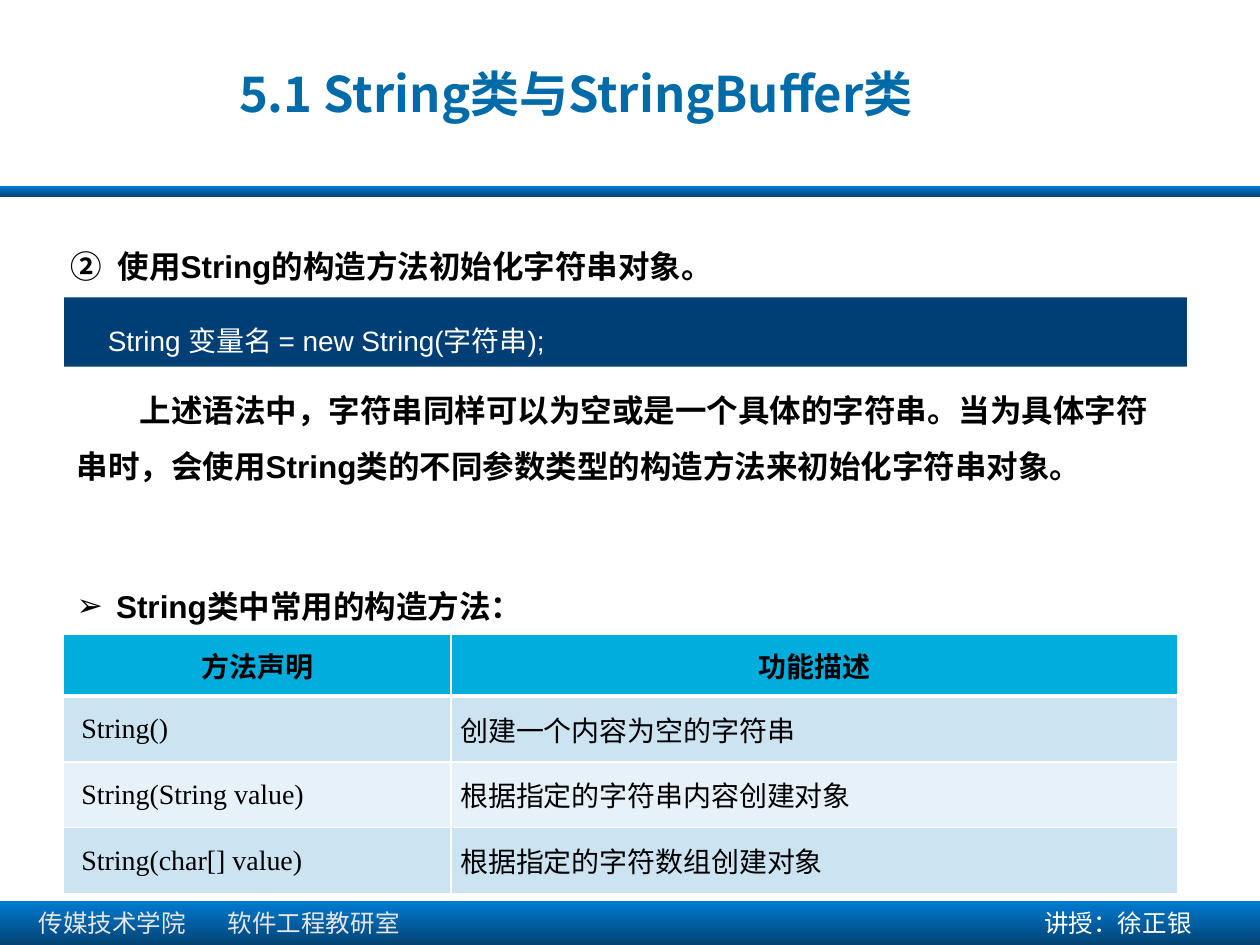
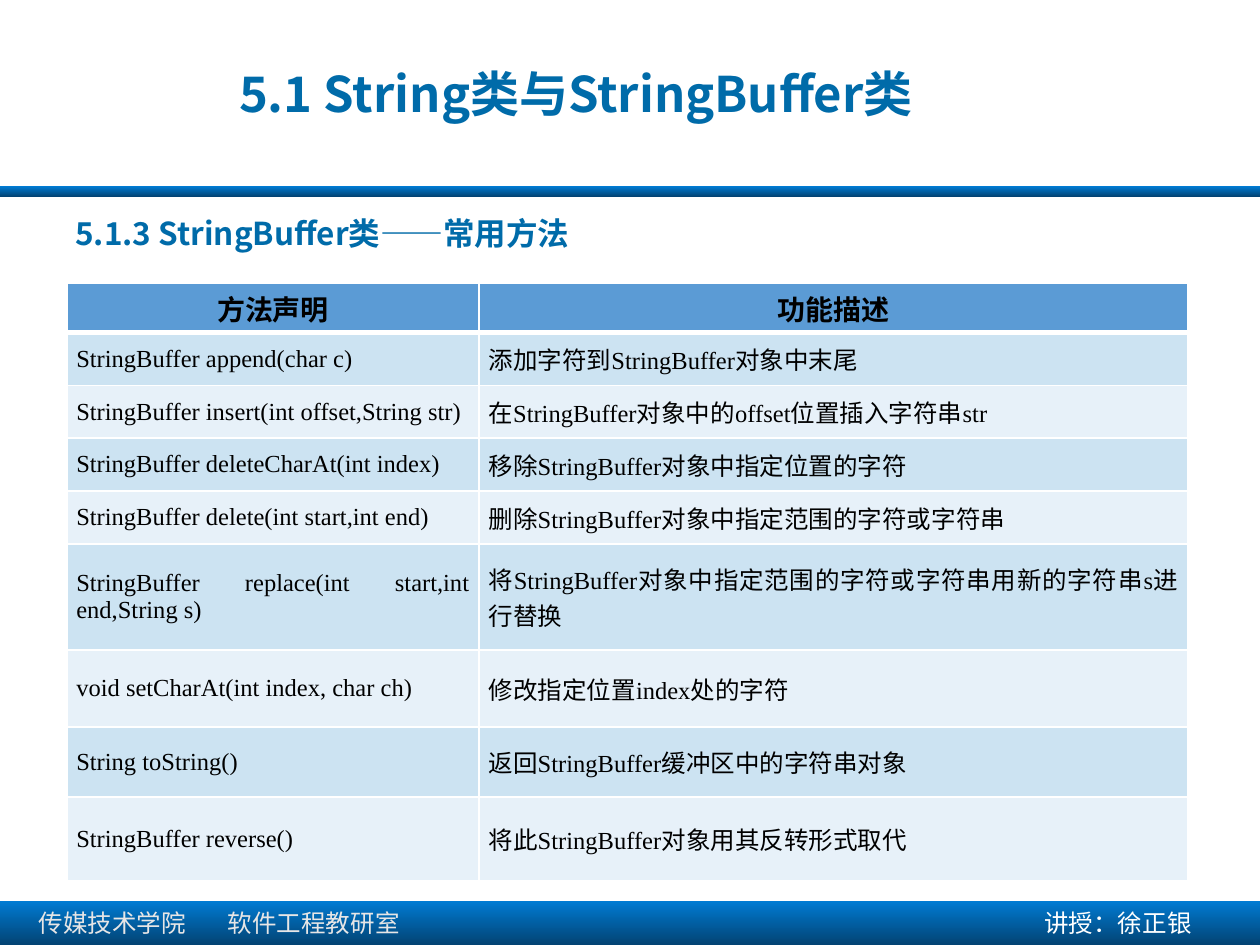
from lxml.etree import SubElement as Sub
from pptx import Presentation
from pptx.dml.color import RGBColor as Rgb
from pptx.enum.shapes import MSO_SHAPE as Kind
from pptx.enum.text import MSO_ANCHOR as Anchor, PP_ALIGN as Align
from pptx.oxml.ns import qn
from pptx.util import Pt

BLUE, NAVY, BLACK, WHITE = "006BA9", "003F75", "000000", "FFFFFF"
HAN = "Noto Sans CJK SC"


def hue(code):
    return Rgb.from_string(code)


def put(frame, text, size, face, tone, bold=False, space=None, left=0, first=0, mark=()):
    para = frame.paragraphs[0]
    para.text = text
    props = para._p.get_or_add_pPr()
    props.set("marL", str(Pt(left)))
    props.set("indent", str(Pt(first)))
    for tag, attrs in mark:
        Sub(props, qn(tag), attrs)
    if space:
        para.line_spacing = space
    for run in para.runs:
        font = run.font
        font.size, font.name, font.bold = Pt(size), face, bold
        font.color.rgb = hue(tone)
        Sub(run._r.get_or_add_rPr(), qn("a:ea"), typeface=HAN)
    return para


deck = Presentation()
deck.slide_width, deck.slide_height = Pt(720), Pt(540)

bands = [(106.5, 6), (514.8, 25.2)]
shared = [
    ((15.1, 515.5, 272, 24.5), "传媒技术学院\t软件工程教研室", 14, "Arial", "E7E6E6"),
    ((589.7, 515.5, 128, 24.5), "讲授：徐正银", 14, "Arial", WHITE),
    ((129.6, 31, 419.8, 44), "5.1 String类与StringBuffer类", 28, HAN, BLUE, True, None, 44.64, -44.64),
]
number = [("a:buFont", {"typeface": "Arial"}),
          ("a:buAutoNum", {"type": "circleNumDbPlain", "startAt": "2"})]
arrow = [("a:buFont", {"typeface": "Arial"}), ("a:buChar", {"char": "➢"})]
code = (36.7, 169.9, 641.5, 39.6)

pages = [
    {
        "texts": [
            ((33.1, 115.9, 643.7, 51), "使用String的构造方法初始化字符串对象。",
             18, "Arial", BLACK, True, 2, 27, -27, number),
            (code, "String 变量名 = new String(字符串);", 16, "Arial", WHITE, False, 1.5, 17.8),
            ((36.7, 208.8, 641.5, 72.7),
             "上述语法中，字符串同样可以为空或是一个具体的字符串。当为具体字符串时，会使用String类的不同参数类型的构造方法来初始化字符串对象。",
             18, "Arial", BLACK, True, 1.5, 0, 36),
            ((36.7, 310.3, 641.5, 51), "String类中常用的构造方法：",
             18, "Arial", BLACK, True, 2, 22.5, -22.5, arrow),
        ],
        "place": (36.3, 362.2), "cols": [221.5, 415.2], "rows": [35.6] + [37.6] * 3,
        "head": "00ADDC", "size": 16, "shift": 5, "inset": 5.2,
        "cells": [
            ("String()", "创建一个内容为空的字符串"),
            ("String(String value)", "根据指定的字符串内容创建对象"),
            ("String(char[] value)", "根据指定的字符数组创建对象"),
        ],
    },
    {
        "texts": [
            ((36, 118.8, 648, 51), "5.1.3 StringBuffer类——常用方法", 18, HAN, BLUE, True),
        ],
        "place": (38.2, 162), "cols": [235.6, 405],
        "rows": [28] + [30.2] * 4 + [60.6, 44, 40.2, 48],
        "head": "5B9BD5", "size": 14, "shift": 0, "inset": 5.4,
        "cells": [
            ("StringBuffer append(char c)", "添加字符到StringBuffer对象中末尾"),
            ("StringBuffer insert(int offset,String str)", "在StringBuffer对象中的offset位置插入字符串str"),
            ("StringBuffer deleteCharAt(int index)", "移除StringBuffer对象中指定位置的字符"),
            ("StringBuffer delete(int start,int end)", "删除StringBuffer对象中指定范围的字符或字符串"),
            ("StringBuffer replace(int start,int end,String s)",
             "将StringBuffer对象中指定范围的字符或字符串用新的字符串s进行替换"),
            ("void setCharAt(int index, char ch)", "修改指定位置index处的字符"),
            ("String toString()", "返回StringBuffer缓冲区中的字符串对象"),
            ("StringBuffer reverse()", "将此StringBuffer对象用其反转形式取代"),
        ],
    },
]

for page in pages:
    slide = deck.slides.add_slide(deck.slide_layouts[6])

    for top, high in bands:
        band = slide.shapes.add_shape(Kind.RECTANGLE, 0, Pt(top), Pt(720), Pt(high))
        band.shadow.inherit = False
        band.line.fill.background()
        band.fill.gradient()
        band.fill.gradient_angle = 270
        for stop, tone in zip(band.fill.gradient_stops, ("007BD3", "034373")):
            stop.color.rgb = hue(tone)

    for place, text, size, *style in shared + page["texts"]:
        spot = [Pt(n) for n in place]
        if place == code:
            box = slide.shapes.add_shape(Kind.RECTANGLE, *spot)
            box.shadow.inherit = False
            box.fill.solid()
            box.fill.fore_color.rgb = hue(NAVY)
            box.line.fill.background()
        else:
            box = slide.shapes.add_textbox(*spot)
        frame = box.text_frame
        frame.word_wrap = True
        if size == 28:
            frame.margin_right = 0
        frame.vertical_anchor = Anchor.MIDDLE if size == 28 or place == code else Anchor.TOP
        para = put(frame, text, size, *style)
        para.alignment = Align.LEFT
        if "\t" in text:
            tabs = Sub(para._p.get_or_add_pPr(), qn("a:tabLst"))
            Sub(tabs, qn("a:tab"), pos=str(Pt(112.3)), algn="l")

    cols, rows = page["cols"], page["rows"]
    cells = [("方法声明", "功能描述")] + page["cells"]
    left, top = page["place"]
    grid = slide.shapes.add_table(len(rows), len(cols), Pt(left), Pt(top),
                                  Pt(sum(cols)), Pt(sum(rows))).table
    for col, wide in zip(grid.columns, cols):
        col.width = Pt(wide)
    for r, (high, line) in enumerate(zip(rows, cells)):
        grid.rows[r].height = Pt(high)
        for c, text in enumerate(line):
            cell = grid.cell(r, c)
            cell.vertical_anchor = Anchor.MIDDLE
            cell.margin_left = cell.margin_right = Pt(page["inset"])
            cell.margin_top = cell.margin_bottom = 0
            for side in "LRTB":
                thick = 3 if (r, side) in ((0, "B"), (1, "T")) else 1
                edge = Sub(cell._tc.get_or_add_tcPr(), qn("a:ln" + side), w=str(Pt(thick)))
                Sub(Sub(edge, qn("a:solidFill")), qn("a:srgbClr"), val=WHITE)
            cell.fill.solid()
            cell.fill.fore_color.rgb = hue(page["head"] if r == 0 else "CCE3F2" if r % 2 else "E7F1F9")
            if r == 0:
                para = put(cell.text_frame, text, 16, "Calibri", BLACK, True)
                para.alignment = Align.CENTER
            else:
                first = page["shift"] if c == 0 else 0
                para = put(cell.text_frame, text, page["size"], "Times New Roman", BLACK, first=first)
                para.alignment = Align.JUSTIFY

deck.save("out.pptx")
